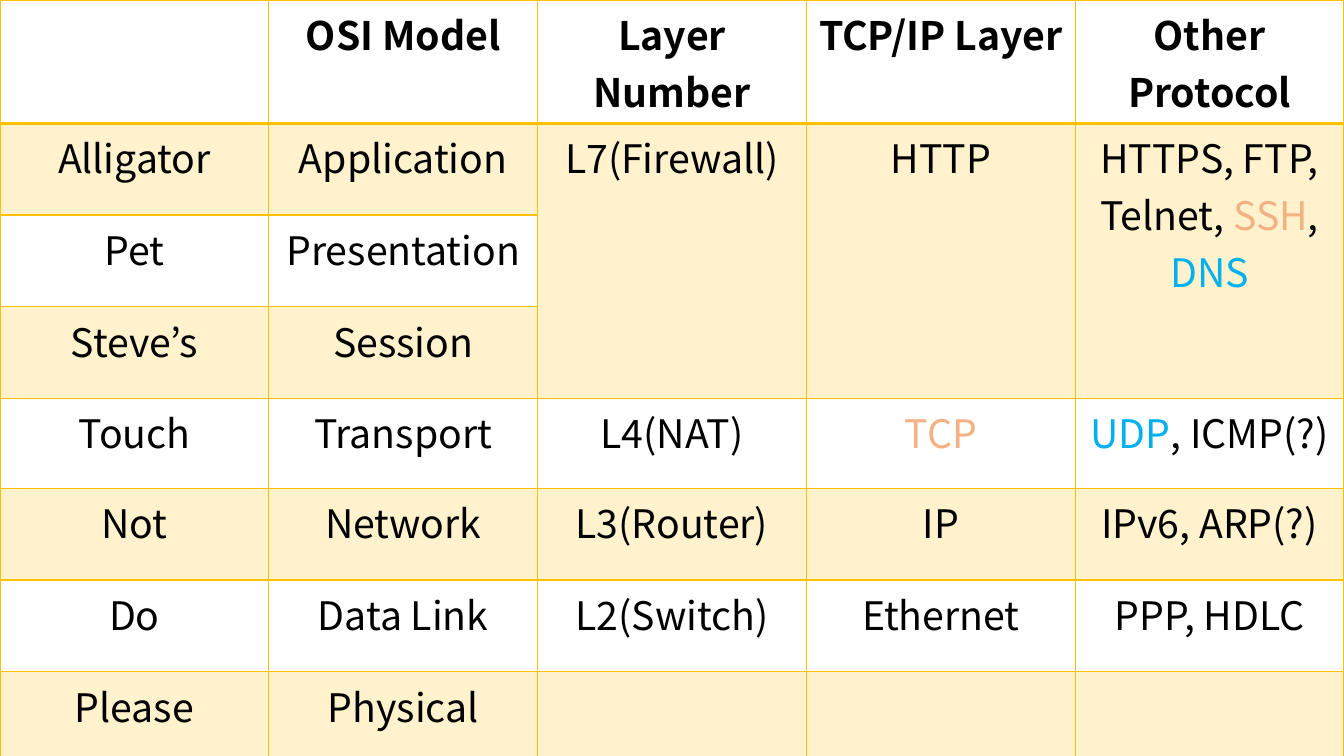
import pptx
import pptx.util
import pptx.dml.color
import pptx.enum.text
import pptx.oxml
import pptx.oxml.ns
import lxml.etree

Inches = pptx.util.Inches
Pt = pptx.util.Pt

ROWS = [
    ["", "OSI Model", "Layer Number", "TCP/IP Layer", "Other Protocol"],
    ["Alligator", "Application", "L7(Firewall)", "HTTP",
     ("HTTPS, FTP, Telnet, ", "SSH", ", ", "DNS")],
    ["Pet", "Presentation", "", "", ""],
    ["Steve’s", "Session", "", "", ""],
    ["Touch", "Transport", "L4(NAT)", "TCP", ("UDP", ", ICMP(?)")],
    ["Not", "Network", "L3(Router)", "IP", "IPv6, ARP(?)"],
    ["Do", "Data Link", "L2(Switch)", "Ethernet", "PPP, HDLC"],
    ["Please", "Physical", "", "", ""],
]
HEIGHTS = [1.18, 0.91, 0.91, 0.91, 0.89, 0.91, 0.91, 0.91]
MERGED = {"top": 1, "bottom": 3, "columns": (2, 3, 4)}
COLORS = {"text": "000000", "gold": "FFC000", "peach": "F4B183", "blue": "00B0F0"}
ACCENTS = {"SSH": "peach", "TCP": "peach", "DNS": "blue", "UDP": "blue"}
FONT = "Noto Sans CJK KR"
WIDTH, HEIGHT = 13.33, 7.5


def rgb(name):
    return pptx.dml.color.RGBColor.from_string(COLORS[name])


def add_borders(cell, row):
    props = cell._tc.get_or_add_tcPr()
    for side in "LRTB":
        thick = (side == "B" and row == 0) or (side == "T" and row == 1)
        props.append(pptx.oxml.parse_xml(
            f'<a:ln{side} xmlns:a="http://schemas.openxmlformats.org/drawingml/2006/main"'
            f' w="{Pt(2 if thick else 1)}"><a:solidFill>'
            f'<a:srgbClr val="{COLORS["gold"]}"/></a:solidFill></a:ln{side}>'))


def add_fill(cell, row):
    if row % 2 == 0:
        cell.fill.background()
        return
    cell.fill.solid()
    cell.fill.fore_color.rgb = rgb("gold")
    qn = pptx.oxml.ns.qn
    tint = cell._tc.tcPr.find(qn("a:solidFill")).find(qn("a:srgbClr"))
    lxml.etree.SubElement(tint, qn("a:alpha")).set("val", "20000")


def add_text(cell, value, bold):
    para = cell.text_frame.paragraphs[0]
    para.alignment = pptx.enum.text.PP_ALIGN.CENTER
    para.font.size = Pt(28)
    for piece in (value,) if isinstance(value, str) else value:
        if not piece:
            continue
        run = para.add_run()
        run.text = piece
        run.font.name = FONT
        run.font.size = Pt(28)
        run.font.bold = bold
        run.font.color.rgb = rgb(ACCENTS.get(piece, "text"))


def main():
    deck = pptx.Presentation()
    deck.slide_width, deck.slide_height = Inches(WIDTH), Inches(HEIGHT)
    slide = deck.slides.add_slide(deck.slide_layouts[6])
    count = len(ROWS[0])
    table = slide.shapes.add_table(
        len(ROWS), count, 0, 0, Inches(WIDTH), Inches(HEIGHT)).table
    table.first_row = table.horz_banding = False
    for column in table.columns:
        column.width = Inches(WIDTH / count)
    for row, (height, values) in enumerate(zip(HEIGHTS, ROWS)):
        table.rows[row].height = Inches(height)
        for col, value in enumerate(values):
            cell = table.cell(row, col)
            add_borders(cell, row)
            add_fill(cell, row)
            add_text(cell, value, row == 0)
    for col in MERGED["columns"]:
        table.cell(MERGED["top"], col).merge(table.cell(MERGED["bottom"], col))
    deck.save("out.pptx")


if __name__ == "__main__":
    main()
